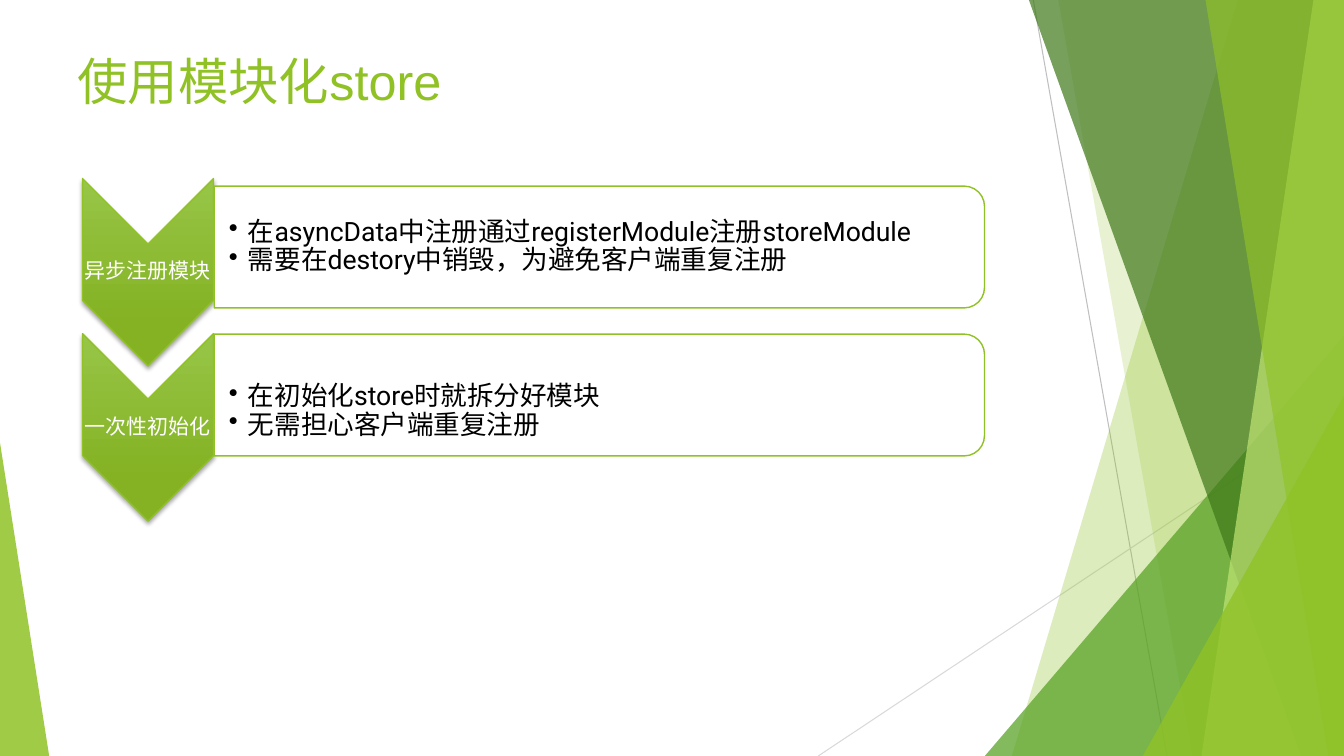
from lxml import etree
from pptx import Presentation, util as u
from pptx.dml.color import RGBColor
from pptx.enum import shapes as sh, text as tx
from pptx.oxml.ns import qn

LIME = RGBColor(0x90, 0xC2, 0x26)
PALE = RGBColor(0xC0, 0xE4, 0x74)
LEAF = RGBColor(0x54, 0xA0, 0x21)
MOSS = RGBColor(0x3F, 0x78, 0x19)
LIGHT = RGBColor(0x97, 0xC5, 0x47)
DEEP = RGBColor(0x84, 0xB2, 0x23)
GREY = RGBColor(0xBF, 0xBF, 0xBF)
MIST = RGBColor(0xD9, 0xD9, 0xD9)
WHITE = RGBColor(255, 255, 255)
BLACK = RGBColor(0, 0, 0)
WIDE, HIGH = 33.87, 19.05
HAN = "Noto Sans CJK SC"

ROWS = [
    ("异步注册模块", ["在asyncData中注册通过registerModule注册storeModule",
                "需要在destory中销毁，为避免客户端重复注册"], 0.03),
    ("一次性初始化", ["在初始化store时就拆分好模块",
                "无需担心客户端重复注册"], 0.87),
]


def sub(node, tag, **attrs):
    return etree.SubElement(node, qn(tag), attrs)


def paint(shape, color, alpha):
    """Fill a shape with a see-through colour (alpha in percent), with no line."""
    shape.shadow.inherit = False
    shape.fill.solid()
    shape.fill.fore_color.rgb = color
    tint = shape._element.spPr.find(qn("a:solidFill"))[0]
    sub(tint, "a:alpha", val=str(alpha * 1000))
    shape.line.fill.background()


def write(frame, lines, size, color, font="Roboto", align=tx.PP_ALIGN.LEFT,
          anchor=tx.MSO_ANCHOR.MIDDLE, inset=(0.03,) * 4, space=0.9,
          wrap=True, bullet=False):
    """Fill a text frame; inset is left, top, right, bottom in centimetres."""
    frame.word_wrap = wrap
    frame.vertical_anchor = anchor
    (frame.margin_left, frame.margin_top,
     frame.margin_right, frame.margin_bottom) = map(u.Cm, inset)
    for i, line in enumerate(lines):
        para = frame.paragraphs[0] if i == 0 else frame.add_paragraph()
        para.alignment, para.line_spacing = align, space
        if bullet:
            props = para._p.get_or_add_pPr()
            props.set("marL", str(u.Cm(0.48)))
            props.set("indent", str(u.Cm(-0.48)))
            sub(props, "a:buChar", char="•")
        run = para.add_run()
        run.text = line
        run.font.size, run.font.name = u.Pt(size), font
        run.font.color.rgb = color
        sub(run._r.get_or_add_rPr(), "a:ea", typeface=HAN)


def add_turned(slide, kind, x, y, w, h):
    """Add a shape turned by 90 degrees that covers the given box."""
    shape = slide.shapes.add_shape(
        kind, u.Cm(x + (w - h) / 2), u.Cm(y + (h - w) / 2), u.Cm(h), u.Cm(w))
    shape.rotation = 90
    shape.shadow.inherit = False
    shape.line.color.rgb = LIME
    shape.line.width = u.Pt(1)
    return shape


def add_line(slide, start, end, color):
    line = slide.shapes.add_connector(
        sh.MSO_CONNECTOR.STRAIGHT, *map(u.Cm, start + end))
    line.line.color.rgb = color
    line.line.width = u.Pt(0.75)
    sub(line._element.spPr, "a:effectLst")


def add_pane(slide, top, foot, color, alpha):
    """Fill from a slanted left edge to the right side of the slide."""
    pen = slide.shapes.build_freeform(u.Cm(top), 0)
    pen.add_line_segments([(u.Cm(x), u.Cm(y)) for x, y in
                           ((WIDE, 0), (WIDE, HIGH), (foot, HIGH))])
    paint(pen.convert_to_shape(), color, alpha)


def add_wedge(slide, x, y, w, tip, color, alpha):
    """Stand a triangle on the foot of the slide; tip is 0 left to 1 right."""
    wedge = slide.shapes.add_shape(
        sh.MSO_SHAPE.ISOSCELES_TRIANGLE, *map(u.Cm, (x, y, w, HIGH - y)))
    wedge.adjustments[0] = tip
    paint(wedge, color, alpha)


def add_decor(slide):
    add_line(slide, (26.04, 0), (29.41, HIGH), GREY)
    add_line(slide, (WIDE, 10.24), (20.62, HIGH), MIST)
    add_pane(slide, 31.19, 25.5, LIME, 30)
    add_pane(slide, 26.67, 30.05, LIME, 20)
    add_wedge(slide, 24.82, 8.46, 9.05, 1, LEAF, 72)
    add_pane(slide, 25.93, 32.79, MOSS, 70)
    add_pane(slide, 33.1, 30.28, PALE, 70)
    add_pane(slide, 30.38, 33.48, LIME, 65)
    add_wedge(slide, 28.8, 9.98, 5.07, 1, LIME, 80)
    add_wedge(slide, 0, 11.15, 1.24, 0, LIME, 85)


def add_title(slide, x, y, w, h):
    title = slide.shapes.title
    title.left, title.top, title.width, title.height = map(u.Cm, (x, y, w, h))
    write(title.text_frame, ["使用模块化store"], 36, LIME, font="Arial",
          anchor=tx.MSO_ANCHOR.TOP, inset=(0.25, 0.13, 0.25, 0.13),
          space=1.0, wrap=False)


def add_step(slide, label, x, y, w, h):
    step = add_turned(slide, sh.MSO_SHAPE.CHEVRON, x, y, w, h)
    step.fill.gradient()
    step.fill.gradient_angle = 0
    for stop, color, place in zip(step.fill.gradient_stops,
                                  (LIGHT, DEEP), (0, 0.78)):
        stop.color.rgb, stop.position = color, place
    glow = sub(step._element.spPr.find(qn("a:effectLst")), "a:outerShdw",
               blurRad=str(u.Pt(3)), dist=str(u.Pt(2)), dir="5400000",
               rotWithShape="0")
    sub(sub(glow, "a:srgbClr", val="000000"), "a:alpha", val="35000")
    box = slide.shapes.add_textbox(
        *map(u.Cm, (x, y + w / 2, w, h - w)))
    write(box.text_frame, [label], 15, WHITE, align=tx.PP_ALIGN.CENTER)


def add_panel(slide, lines, drop, x, y, w, h):
    panel = add_turned(slide, sh.MSO_SHAPE.ROUND_2_SAME_RECTANGLE, x, y, w, h)
    panel.fill.solid()
    panel.fill.fore_color.rgb = WHITE
    box = slide.shapes.add_textbox(
        *map(u.Cm, (x, y + 0.15, w - 0.15, h - 0.3)))
    write(box.text_frame, lines, 19, BLACK, bullet=True,
          inset=(0.37, drop, 0.03, 0.03))


def main():
    deck = Presentation()
    deck.slide_width, deck.slide_height = u.Cm(WIDE), u.Cm(HIGH)
    slide = deck.slides.add_slide(deck.slide_layouts[5])
    add_decor(slide)
    add_title(slide, 1.7, 1.12, 10.13, 1.8)
    for i, (label, lines, drop) in enumerate(ROWS):
        add_step(slide, label, 2.08, 4.5 + 3.91 * i, 3.3, 4.72)
        add_panel(slide, lines, drop, 5.4, 4.69 + 3.73 * i, 19.41, 3.07)
    deck.save("out.pptx")


if __name__ == "__main__":
    main()
